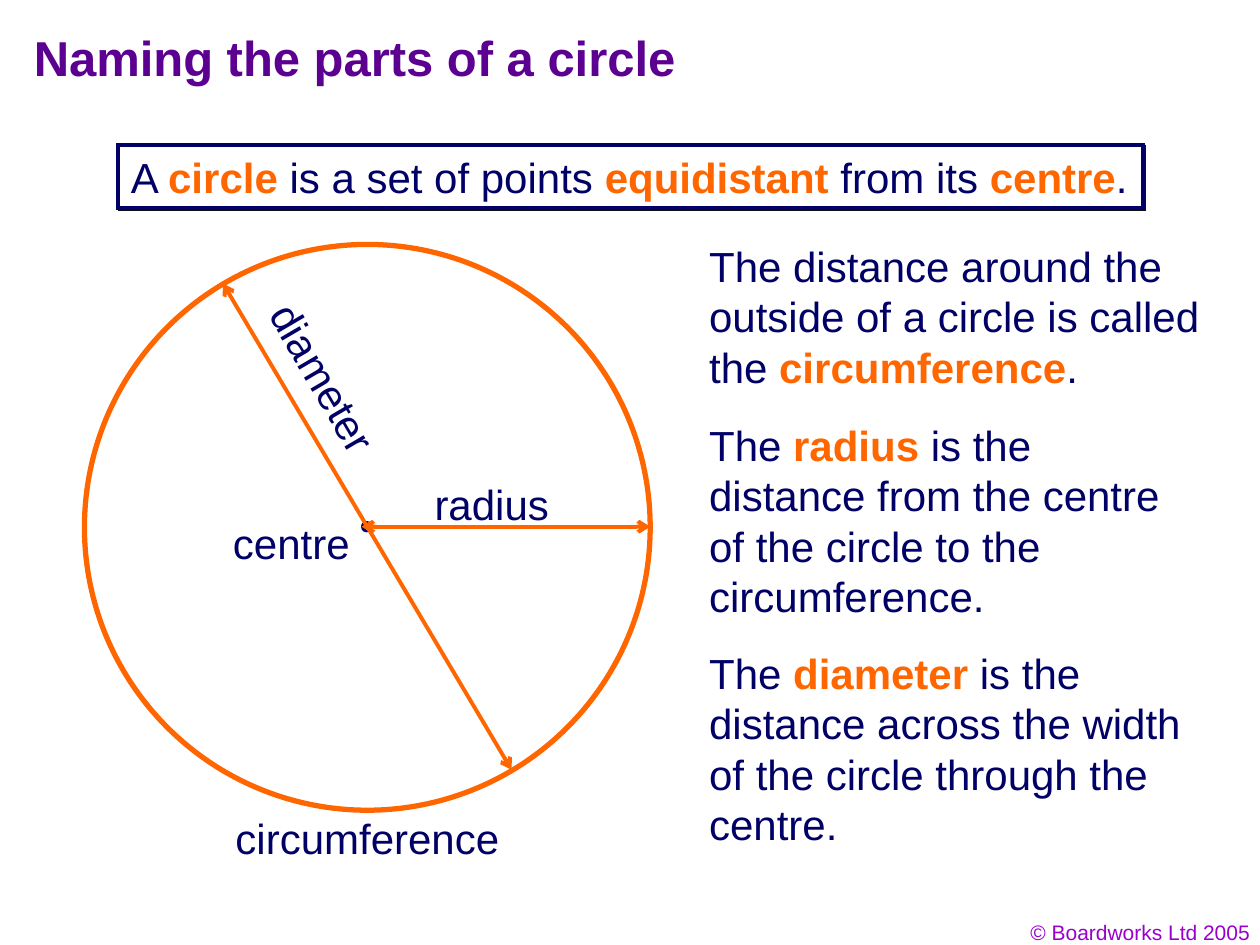
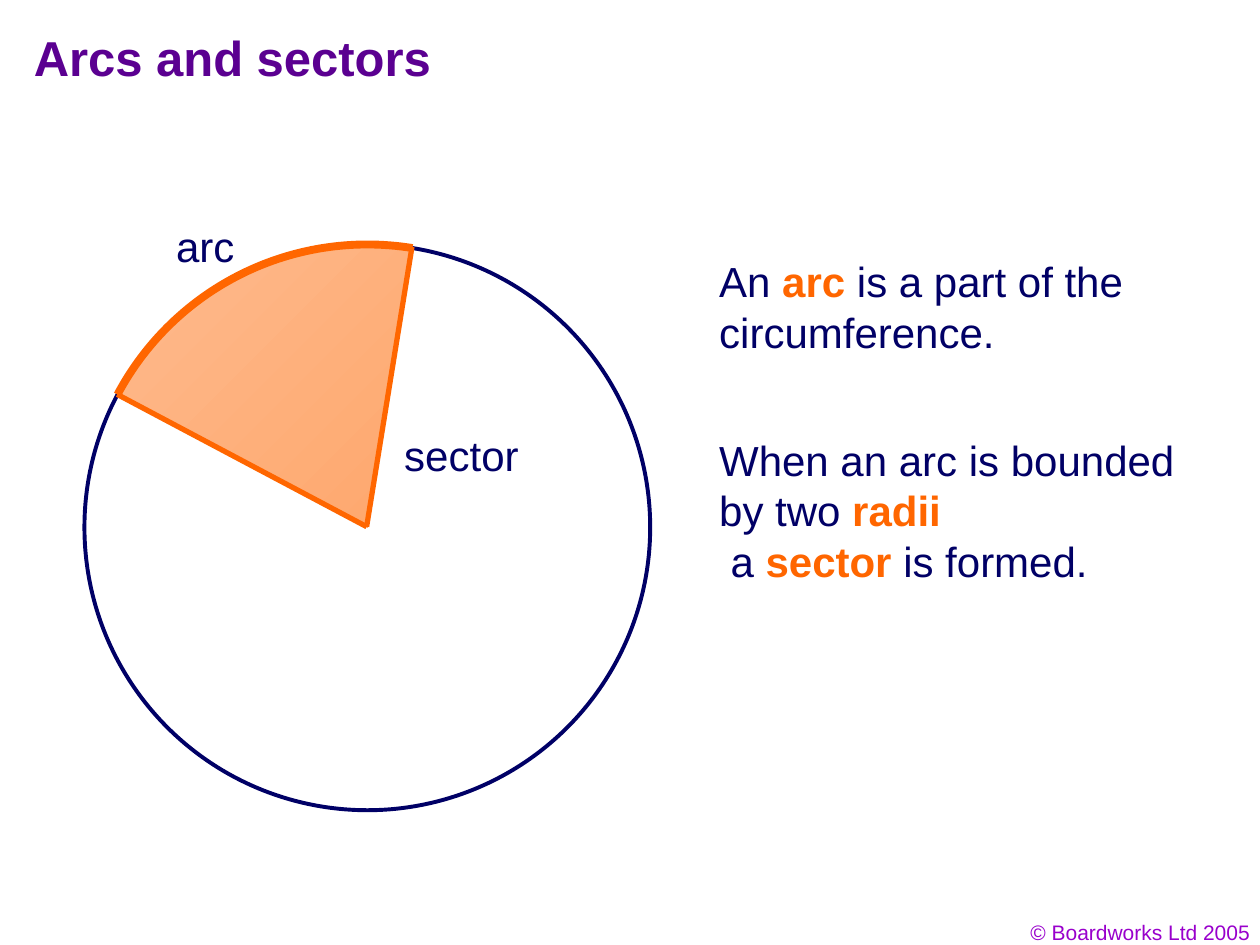
import math
from dataclasses import dataclass
from typing import NamedTuple, Optional

from lxml import etree
from pptx import Presentation
from pptx import util as u
from pptx.dml.color import RGBColor
from pptx.enum import shapes, text
from pptx.oxml.ns import qn
from pptx.slide import Slide

PX = 9144  # EMU per px, 100 px to the inch


@dataclass(frozen=True)
class Theme:
    font: str = "Arial"
    title: str = "5B0091"
    body: str = "010066"
    accent: str = "FF6600"
    outline: str = "000066"
    footer: str = "9900CC"
    paper: str = "FFFFFF"
    shadow: str = "111111"
    sector_dark: str = "FF964F"
    sector_light: str = "FEBB8F"
    title_size: int = 28
    body_size: int = 24
    footer_size: int = 12
    leading: float = 1.2


class Box(NamedTuple):
    left: int
    top: int
    width: int
    height: int


class Point(NamedTuple):
    x: int
    y: int


class Label(NamedTuple):
    wording: str
    box: Box
    wrap: bool = False
    rotation: float = 0


THEME = Theme()
CIRCLE = Box(67, 194, 449, 449)
CENTRE = Point(CIRCLE.left + CIRCLE.width // 2, CIRCLE.top + CIRCLE.height // 2)
CENTRE_DOT = Box(287, 414, 8, 8)
DEFINITION = Box(94, 115, 813, 50)
SECTOR_START, SECTOR_END = 208, 279.2  # degrees clockwise from the right

CIRCLE_LABELS = [
    Label("The distance around the outside of a circle is called the *circumference*.",
          Box(553, 186, 420, 130), wrap=True),
    Label("The *radius* is the distance from the centre of the circle to the circumference.",
          Box(553, 328, 396, 170), wrap=True),
    Label("The *diameter* is the distance across the width of the circle through the centre.",
          Box(553, 509, 396, 170), wrap=True),
    Label("radius", Box(335, 375, 121, 50)),
    Label("circumference", Box(177, 640, 239, 50)),
    Label("diameter", Box(180, 279, 159, 50), rotation=59.6),
    Label("centre", Box(175, 406, 122, 50)),
]
SECTOR_LABELS = [
    Label("An *arc* is a part of the circumference.", Box(561, 198, 420, 90), wrap=True),
    Label("When an arc is bounded by two *radii*", Box(561, 340, 396, 90), wrap=True),
    Label("a *sector* is formed.", Box(570, 420, 386, 50), wrap=True),
    Label("arc", Box(130, 170, 76, 50)),
    Label("sector", Box(311, 336, 121, 50)),
]


def rgb(colour: str) -> RGBColor:
    return RGBColor.from_string(colour)


def emu(lengths) -> list[int]:
    return [length * PX for length in lengths]


def write(frame, wording: str, *, size: int = THEME.body_size, colour: str = THEME.body,
          bold: bool = False, align=text.PP_ALIGN.LEFT, wrap: bool = False) -> None:
    """Fill a text frame; words between asterisks are bold in the accent colour."""
    frame.word_wrap = wrap
    frame.vertical_anchor = text.MSO_ANCHOR.TOP
    paragraph = frame.paragraphs[0]
    paragraph.alignment = align
    paragraph.line_spacing = u.Pt(size * THEME.leading)
    for position, part in enumerate(wording.split("*")):
        if not part:
            continue
        key_term = position % 2 == 1
        run = paragraph.add_run()
        run.text = part
        run.font.name = THEME.font
        run.font.size = u.Pt(size)
        run.font.bold = bold or key_term
        run.font.color.rgb = rgb(THEME.accent if key_term else colour)


def add_label(slide: Slide, label: Label, **formatting) -> None:
    holder = slide.shapes.add_textbox(*emu(label.box))
    holder.rotation = label.rotation
    write(holder.text_frame, label.wording, wrap=label.wrap, **formatting)


def add_figure(slide: Slide, preset, box: Box, *, fill: Optional[str] = None,
               line: Optional[str] = None, width: float = 2.25):
    figure = slide.shapes.add_shape(preset, *emu(box))
    figure.shadow.inherit = False
    if fill:
        figure.fill.solid()
        figure.fill.fore_color.rgb = rgb(fill)
    else:
        figure.fill.background()
    if line:
        figure.line.color.rgb = rgb(line)
        figure.line.width = u.Pt(width)
    else:
        figure.line.fill.background()
    return figure


def add_line(slide: Slide, start: Point, end: Point, *, width: float = 2.25,
             arrows: bool = False) -> None:
    line = slide.shapes.add_connector(shapes.MSO_CONNECTOR.STRAIGHT, *emu(start + end))
    line.line.color.rgb = rgb(THEME.accent)
    line.line.width = u.Pt(width)
    properties = line._element.spPr
    if arrows:
        stroke = properties.find(qn("a:ln"))
        for tip in ("a:headEnd", "a:tailEnd"):
            etree.SubElement(stroke, qn(tip), type="arrow")
    etree.SubElement(properties, qn("a:effectLst"))


def add_hard_shadow(figure) -> None:
    """Give a figure square corners and a sharp shadow to the lower right."""
    properties = figure._element.spPr
    etree.SubElement(properties.find(qn("a:ln")), qn("a:miter"), lim="800000")
    shadow = etree.SubElement(properties.find(qn("a:effectLst")), qn("a:outerShdw"),
                              blurRad="0", dist=str(int(u.Pt(1.4))),
                              dir=str(45 * 60000), algn="ctr", rotWithShape="0")
    etree.SubElement(shadow, qn("a:srgbClr"), val=THEME.shadow)


def set_sweep(figure) -> None:
    """Turn the angles of a pie or arc to those of the sector."""
    for index, degrees in enumerate((SECTOR_START, SECTOR_END)):
        figure.adjustments[index] = degrees * 0.6


def on_circle(degrees: float) -> Point:
    angle, radius = math.radians(degrees), CIRCLE.width / 2
    return Point(round(CENTRE.x + radius * math.cos(angle)),
                 round(CENTRE.y + radius * math.sin(angle)))


def start_slide(deck, heading: str) -> Slide:
    slide = deck.slides.add_slide(deck.slide_layouts[6])
    add_label(slide, Label("© Boardworks Ltd 2005", Box(769, 725, 233, 30), wrap=True),
              size=THEME.footer_size, colour=THEME.footer, align=text.PP_ALIGN.RIGHT)
    add_label(slide, Label(heading, Box(17, 17, 850, 67), wrap=True),
              size=THEME.title_size, colour=THEME.title, bold=True)
    return slide


def build_circle_parts(deck) -> None:
    slide = start_slide(deck, "Naming the parts of a circle")
    preset = shapes.MSO_SHAPE
    add_figure(slide, preset.OVAL, CENTRE_DOT, fill=THEME.outline, line=THEME.outline,
               width=0.75)
    definition = add_figure(slide, preset.RECTANGLE, DEFINITION, fill=THEME.paper,
                            line=THEME.outline)
    add_hard_shadow(definition)
    write(definition.text_frame,
          "A *circle* is a set of points *equidistant* from its *centre*.")
    add_line(slide, Point(287, 418), Point(516, 418), arrows=True)
    add_line(slide, Point(177, 225), Point(406, 611), arrows=True)
    add_figure(slide, preset.OVAL, CIRCLE, line=THEME.accent, width=3)
    for label in CIRCLE_LABELS:
        add_label(slide, label)


def build_arcs_and_sectors(deck) -> None:
    slide = start_slide(deck, "Arcs and sectors")
    preset = shapes.MSO_SHAPE
    sector = add_figure(slide, preset.PIE, CIRCLE)
    set_sweep(sector)
    sector.fill.gradient()
    sector.fill.gradient_angle = 135
    for stop, colour in zip(sector.fill.gradient_stops,
                            (THEME.sector_dark, THEME.sector_light)):
        stop.color.rgb = rgb(colour)
    add_figure(slide, preset.OVAL, CIRCLE, line=THEME.outline)
    for label in SECTOR_LABELS:
        add_label(slide, label)
    set_sweep(add_figure(slide, preset.ARC, CIRCLE, line=THEME.accent, width=4.5))
    for degrees in (SECTOR_END, SECTOR_START):
        add_line(slide, CENTRE, on_circle(degrees), width=3)


def main() -> None:
    deck = Presentation()
    deck.slide_width, deck.slide_height = emu((1000, 750))
    build_circle_parts(deck)
    build_arcs_and_sectors(deck)
    deck.save("out.pptx")


if __name__ == "__main__":
    main()
